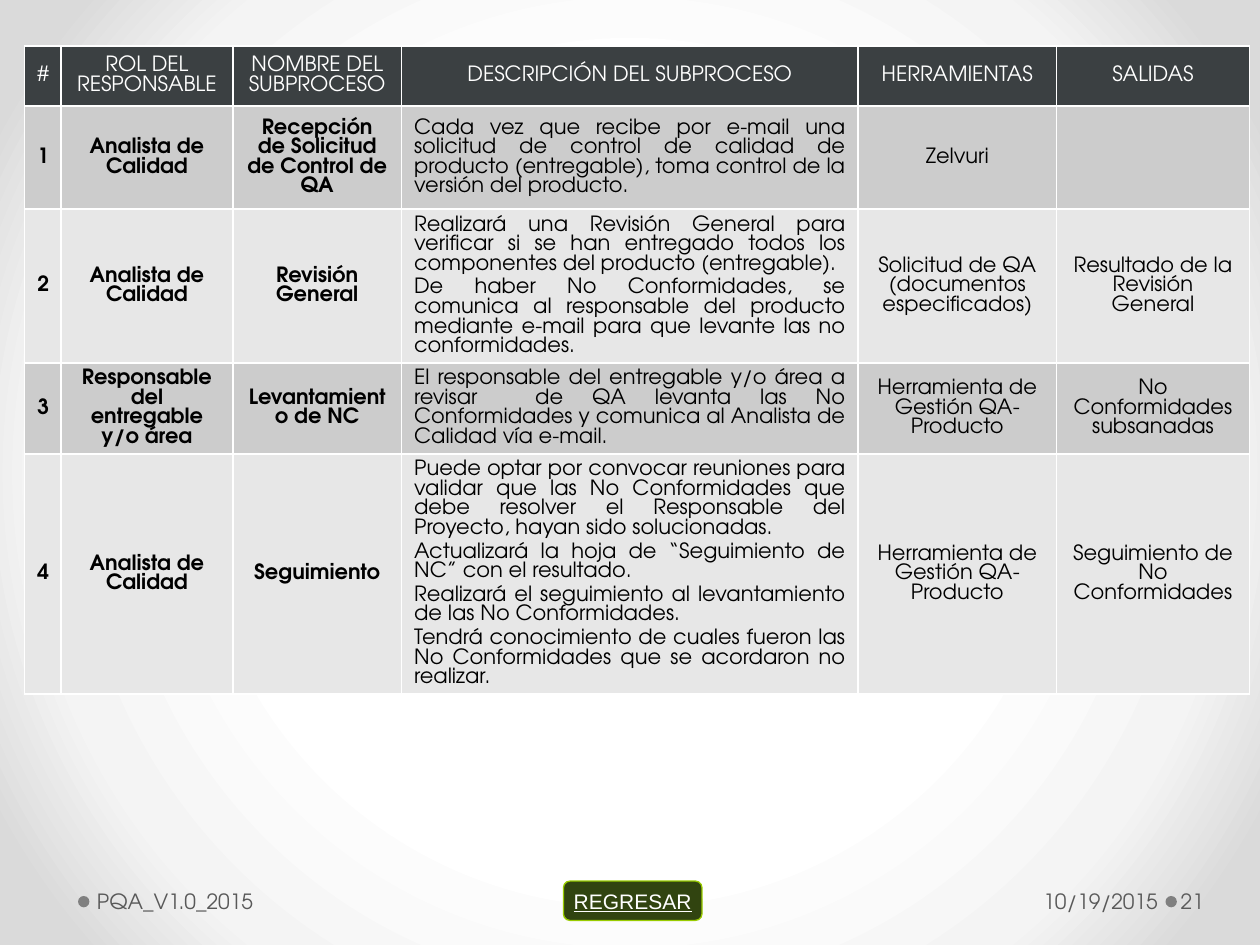
from lxml import etree
from pptx import Presentation
from pptx.dml.color import RGBColor
from pptx.enum.shapes import MSO_SHAPE
from pptx.enum.text import MSO_ANCHOR, PP_ALIGN
from pptx.oxml.ns import qn
from pptx.util import Pt

CENTER, LEFT, RIGHT, JUSTIFY = PP_ALIGN.CENTER, PP_ALIGN.LEFT, PP_ALIGN.RIGHT, PP_ALIGN.JUSTIFY
MIDDLE, TOP = MSO_ANCHOR.MIDDLE, MSO_ANCHOR.TOP
ELLIPSE, BUTTON = MSO_SHAPE.OVAL, MSO_SHAPE.FLOWCHART_ALTERNATE_PROCESS
MAIN_FONT = "TeX Gyre Adventor"


def color(hex_value):
    return RGBColor.from_string(hex_value)


def write(frame, texts, hex_value, align, space=0, **font_format):
    """Fill a text frame, one paragraph per text."""
    values = {"name": MAIN_FONT, "size": Pt(12), **font_format}
    for index, text in enumerate(texts):
        para = frame.paragraphs[0] if index == 0 else frame.add_paragraph()
        para.alignment = align
        para.space_before = Pt(space)
        span = para.add_run()
        span.text = text
        span.font.color.rgb = color(hex_value)
        for name, value in values.items():
            setattr(span.font, name, value)


deck = Presentation()
deck.slide_width, deck.slide_height = Pt(720), Pt(540)
page = deck.slides.add_slide(deck.slide_layouts[6])

# Background: radial gradient, white at the centre
background = page.background.fill
background.gradient()
gradient = page.background._cSld.find(".//" + qn("a:gradFill"))
for child in list(gradient):
    gradient.remove(child)
stops = etree.SubElement(gradient, qn("a:gsLst"))
for position, hex_value in ((50, "FFFFFF"), (76, "F4F4F4"), (92, "DADADA")):
    stop = etree.SubElement(stops, qn("a:gs"), pos=str(position * 1000))
    etree.SubElement(stop, qn("a:srgbClr"), val=hex_value)
circle = etree.SubElement(gradient, qn("a:path"), attrib={"path": "circle"})
etree.SubElement(circle, qn("a:fillToRect"), {side: "50000" for side in "ltrb"})

# Footer dots
for left in (44.6, 666):
    dot = page.shapes.add_shape(ELLIPSE, Pt(left), Pt(512), Pt(6.5), Pt(6.5))
    dot.shadow.inherit = False
    dot.fill.solid()
    dot.fill.fore_color.rgb = color("808080")
    dot.line.fill.background()

# Table contents: each cell is a list of paragraphs
HEADERS = ["#", "ROL DEL RESPONSABLE", "NOMBRE DEL SUBPROCESO",
           "DESCRIPCIÓN DEL SUBPROCESO", "HERRAMIENTAS", "SALIDAS"]
ANALYST = ["Analista de Calidad"]
TOOL = ["Herramienta de Gestión QA-Producto"]
STEPS = [
    [["1"], ANALYST, ["Recepción de Solicitud de Control de QA"],
     ["Cada vez que recibe por e-mail una solicitud de control de calidad de producto "
      "(entregable), toma control de la versión del producto."],
     ["Zelvuri"], []],
    [["2"], ANALYST, ["Revisión General"],
     ["Realizará una Revisión General para verificar si se han entregado todos los "
      "componentes del producto (entregable).",
      "De haber No Conformidades, se comunica al responsable del producto mediante e-mail "
      "para que levante las no conformidades."],
     ["Solicitud de QA (documentos especificados)"], ["Resultado de la Revisión General"]],
    [["3"], ["Responsable del entregable y/o área"], ["Levantamiento de NC"],
     ["El responsable del entregable y/o área a revisar  de QA levanta las No "
      "Conformidades y comunica al Analista de Calidad vía e-mail."],
     TOOL, ["No Conformidades subsanadas"]],
    [["4"], ANALYST, ["Seguimiento"],
     ["Puede optar por convocar reuniones para validar que las No Conformidades que debe "
      "resolver el Responsable del Proyecto, hayan sido solucionadas.",
      "Actualizará la hoja de “Seguimiento de NC” con el resultado.",
      "Realizará el seguimiento al levantamiento de las No Conformidades.",
      "Tendrá conocimiento de cuales fueron las No Conformidades que se acordaron no "
      "realizar."],
     TOOL, ["Seguimiento de No Conformidades"]],
]
WIDTHS = [20.8, 98.2, 96.4, 261, 113.3, 110.3]
HEIGHTS = [34.4, 59, 87.8, 52, 137]
DESCRIPTION = 3

# Table
table = page.shapes.add_table(len(HEIGHTS), len(WIDTHS), Pt(14.1), Pt(26.2),
                              Pt(sum(WIDTHS)), Pt(sum(HEIGHTS))).table
for column, width in zip(table.columns, WIDTHS):
    column.width = Pt(width)
for row, height in zip(table.rows, HEIGHTS):
    row.height = Pt(height)

rows = [[[header] for header in HEADERS]] + STEPS
for row_index, row in enumerate(rows):
    is_header = row_index == 0
    fill = "3B4042" if is_header else ("E7E7E7", "CCCCCC")[row_index % 2]
    for column_index, texts in enumerate(row):
        cell = table.cell(row_index, column_index)
        is_description = column_index == DESCRIPTION and not is_header
        properties = cell._tc.get_or_add_tcPr()
        for side in "LRTB":
            border = etree.SubElement(properties, qn("a:ln" + side), w=str(Pt(1)))
            solid = etree.SubElement(border, qn("a:solidFill"))
            etree.SubElement(solid, qn("a:srgbClr"), val="FFFFFF")
        cell.fill.solid()
        cell.fill.fore_color.rgb = color(fill)
        cell.vertical_anchor = TOP if is_description and row_index == len(STEPS) else MIDDLE
        write(cell.text_frame, texts, "FFFFFF" if is_header else "000000",
              JUSTIFY if is_description else CENTER, space=0 if is_header else 2.4,
              bold=not is_header and column_index < DESCRIPTION)

# Footer texts: text, left, width, left inset, right inset, alignment
for text, left, width, inset_left, inset_right, align in (
        ("PQA_V1.0_2015", 51.8, 285, 3.6, 7.2, LEFT),
        ("10/19/2015", 501, 164.3, 7.2, 3.6, RIGHT),
        ("21", 672.5, 44, 2.2, 3.6, LEFT)):
    box = page.shapes.add_textbox(Pt(left), Pt(500.5), Pt(width), Pt(28.8))
    frame = box.text_frame
    frame.word_wrap = True
    frame.vertical_anchor = MIDDLE
    frame.margin_left, frame.margin_right = Pt(inset_left), Pt(inset_right)
    write(frame, [text], "595959", align)

# Return button
button = page.shapes.add_shape(BUTTON, Pt(322), Pt(503.5), Pt(79.2), Pt(22.5))
button.shadow.inherit = False
button.fill.solid()
button.fill.fore_color.rgb = color("314410")
button.line.color.rgb = color("99CC00")
button.line.width = Pt(0.75)
button.text_frame.word_wrap = False
button.text_frame.vertical_anchor = MIDDLE
write(button.text_frame, ["REGRESAR"], "FFFFFF", CENTER, name="Arial", underline=True)

deck.save("out.pptx")
